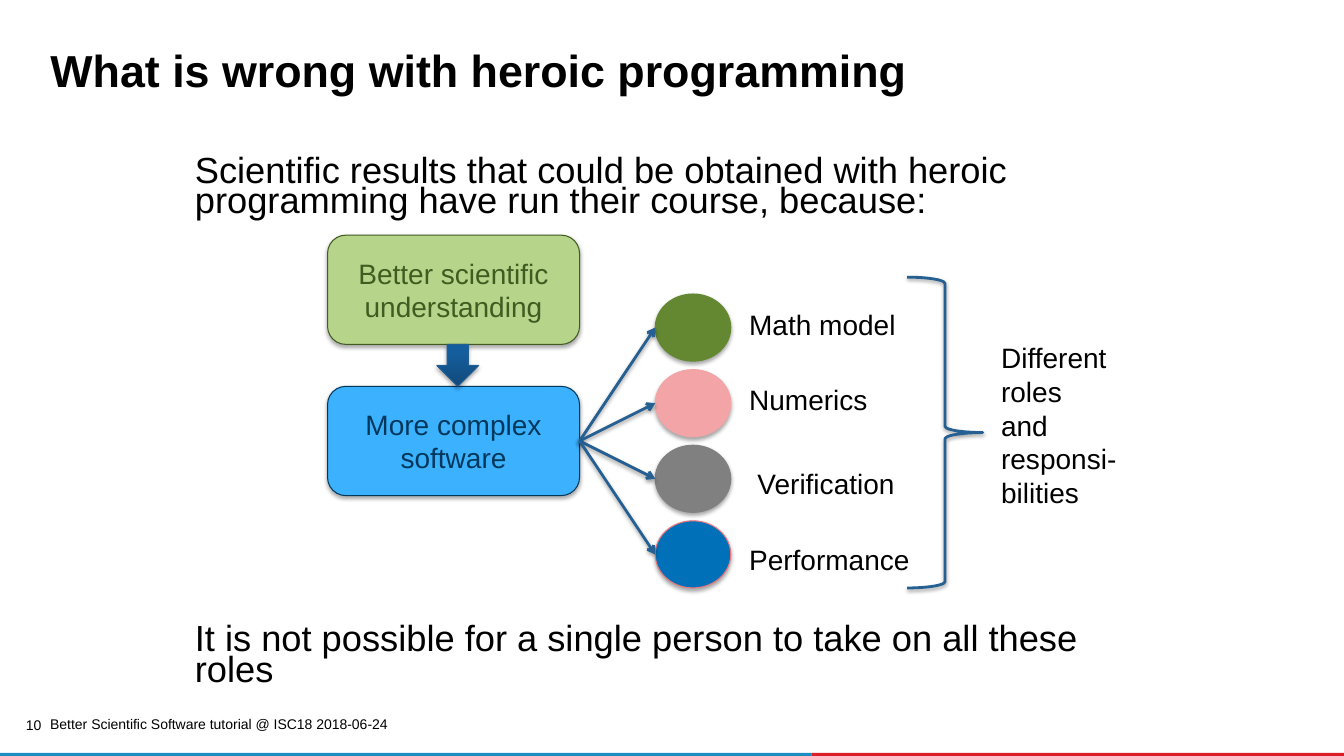
from dataclasses import dataclass

from lxml.etree import SubElement
from pptx import Presentation
from pptx.dml.color import RGBColor
from pptx.enum.shapes import MSO_CONNECTOR, MSO_SHAPE
from pptx.enum.text import MSO_ANCHOR, MSO_AUTO_SIZE, PP_ALIGN
from pptx.oxml.ns import qn
from pptx.util import Pt


@dataclass(frozen=True)
class Theme:
    font: str = "Arial"
    text: str = "000000"
    arrow: str = "266092"
    bar_blue: str = "1B8DC3"
    bar_red: str = "DA1F28"
    green_box: tuple = ("B6D58B", "425B20")
    blue_box: tuple = ("3CB2FF", "00385C")
    down_arrow: tuple = ("104979", "155E9D", "235E91")
    title_size: float = 32
    body_size: float = 25.9
    label_size: float = 20
    footer_size: float = 10


THEME = Theme()
# label, fill, outline, label offset from the circle's right and top
ROLES = [
    ("Math model", "638831", "638831", 6, 6),
    ("Numerics", "F2A4A7", "F2A4A7", 6, 6),
    ("Verification", "808080", "808080", 12, 12),
    ("Performance", "0070B9", "EC767C", 6, 12),
]


def apply(obj, values):
    for name, value in values.items():
        setattr(obj, name, value)


def rgb(color):
    return RGBColor.from_string(color)


def place(sp, box):
    apply(sp, dict(zip(("left", "top", "width", "height"), map(Pt, box))))


def write(sp, lines, size, color=THEME.text, bold=False, frame=None, para=None):
    tf = sp.text_frame
    apply(tf, {"word_wrap": True, "auto_size": MSO_AUTO_SIZE.NONE, **(frame or {})})
    for i, line in enumerate(lines):
        p = tf.add_paragraph() if i else tf.paragraphs[0]
        apply(p, para or {})
        r = p.add_run()
        r.text = line
        apply(r.font, {"name": THEME.font, "size": Pt(size), "bold": bold})
        r.font.color.rgb = rgb(color)
    return tf


def add_text(s, box, lines, size, **styles):
    sp = s.shapes.add_textbox(*map(Pt, box))
    write(sp, lines, size, **styles)


def add_shadow(sp, alpha, dist):
    sp_pr = sp._element.spPr
    effects = sp_pr.find(qn("a:effectLst"))
    if effects is None:
        effects = SubElement(sp_pr, qn("a:effectLst"))
    shadow = SubElement(effects, qn("a:outerShdw"), blurRad=str(Pt(3.1)),
                        dist=str(Pt(dist)), dir="5400000", rotWithShape="0")
    color = SubElement(shadow, qn("a:srgbClr"), val="000000")
    SubElement(color, qn("a:alpha"), val=str(alpha * 1000))


def add_shape(s, kind, box, fill=None, line=None, width=0.75):
    sp = s.shapes.add_shape(kind, *map(Pt, box))
    sp.shadow.inherit = False
    if fill:
        sp.fill.solid()
        sp.fill.fore_color.rgb = rgb(fill)
    else:
        sp.fill.background()
    if line:
        sp.line.color.rgb = rgb(line)
        sp.line.width = Pt(width)
    else:
        sp.line.fill.background()
    return sp


def add_arrow(s, start, end):
    cn = s.shapes.add_connector(MSO_CONNECTOR.STRAIGHT, *map(Pt, start + end))
    cn.line.color.rgb = rgb(THEME.arrow)
    cn.line.width = Pt(2)
    SubElement(cn.line._get_or_add_ln(), qn("a:tailEnd"), type="arrow")
    add_shadow(cn, 38, 1.6)


def footer(s, box):
    x, y, w, h = box
    split = 579.6
    for left, width, color in ((x, split, THEME.bar_blue),
                               (x + split, w - split, THEME.bar_red)):
        add_shape(s, MSO_SHAPE.RECTANGLE, (left, y + h - 2.2, width, 2.2), color)
    add_text(s, (x + 28.8, y, 261.4, 14.4),
             ["Better Scientific Software tutorial @ ISC18 2018-06-24"],
             THEME.footer_size, frame={"vertical_anchor": MSO_ANCHOR.MIDDLE})
    margins = dict.fromkeys(
        ("margin_left", "margin_top", "margin_right", "margin_bottom"), 0)
    add_text(s, (x + 13, y + 2.9, 16.5, 12.2), ["10"], THEME.footer_size,
             frame=margins, para={"alignment": PP_ALIGN.RIGHT, "line_spacing": 0.9})


def title(s, box):
    sp = s.shapes.title
    place(sp, box)
    write(sp, ["What is wrong with heroic programming"], THEME.title_size, bold=True,
          frame={"vertical_anchor": MSO_ANCHOR.BOTTOM},
          para={"alignment": PP_ALIGN.LEFT, "line_spacing": 0.85})


def body(s, box):
    sp = s.placeholders[1]
    place(sp, box)
    tf = write(sp, [
        "Scientific results that could be obtained with heroic programming "
        "have run their course, because:",
        "It is not possible for a single person to take on all these roles",
    ], THEME.body_size, frame={"vertical_anchor": MSO_ANCHOR.TOP},
        para={"line_spacing": 0.7, "space_before": Pt(0)})
    for p in tf.paragraphs:
        p_pr = p._p.get_or_add_pPr()
        p_pr.set("marL", "0")
        p_pr.set("indent", "0")
        SubElement(p_pr, qn("a:buNone"))
    # Room for the diagram between the two statements
    tf.paragraphs[1].space_before = Pt(291)


def cause_boxes(s, box):
    x, y, w, h = box
    box_h, arrow = 78, 30
    for top, label, (fill, ink) in (
            (y, "Better scientific understanding", THEME.green_box),
            (y + h - box_h, "More complex software", THEME.blue_box)):
        sp = add_shape(s, MSO_SHAPE.ROUNDED_RECTANGLE, (x, top, w, box_h), fill, ink)
        add_shadow(sp, 35, 1.8)
        write(sp, [label], THEME.label_size, ink,
              frame={"vertical_anchor": MSO_ANCHOR.MIDDLE},
              para={"alignment": PP_ALIGN.CENTER})
    # Arrow between the boxes, dark at the tip
    dark, light, edge = THEME.down_arrow
    sp = add_shape(s, MSO_SHAPE.DOWN_ARROW, (x + 78, y + box_h, arrow, arrow), dark, edge)
    sp.fill.gradient()
    sp.fill.gradient_angle = 90
    for stop, color, position in zip(sp.fill.gradient_stops, (dark, light), (0, 0.8)):
        stop.color.rgb = rgb(color)
        stop.position = position
    add_shadow(sp, 35, 1.8)


def roles(s, box, hub):
    x, y, w, h = box
    circle_w, circle_h = 54, 48
    step = (h - circle_h) / (len(ROLES) - 1)
    for i, (label, fill, line, dx, dy) in enumerate(ROLES):
        top = y + i * step
        sp = add_shape(s, MSO_SHAPE.OVAL, (x, top, circle_w, circle_h), fill, line)
        add_shadow(sp, 35, 1.8)
        add_arrow(s, hub, (x, top + circle_h / 2))
        add_text(s, (x + circle_w + dx, top + dy, w - circle_w, 31.5),
                 [label], THEME.label_size)


def summary(s, box):
    x, y, w, h = box
    sp = add_shape(s, MSO_SHAPE.RIGHT_BRACE, (x, y, 54, h), line=THEME.arrow, width=2)
    add_shadow(sp, 38, 1.6)
    add_text(s, (x + 60, y + 42, w - 60, 128),
             ["Different roles", "and responsi-bilities"], THEME.label_size)


def main():
    prs = Presentation()
    prs.slide_width, prs.slide_height = Pt(960), Pt(540)
    s = prs.slides.add_slide(prs.slide_layouts[1])
    footer(s, (0, 510, 960, 30))
    title(s, (28.8, 32.4, 895.7, 40.3))
    body(s, (132, 110, 678, 400))
    cause_boxes(s, (234, 168, 180, 186))
    summary(s, (648, 198, 162, 222))
    roles(s, (468, 210, 198, 210), hub=(414, 315))
    prs.save("out.pptx")


if __name__ == "__main__":
    main()
